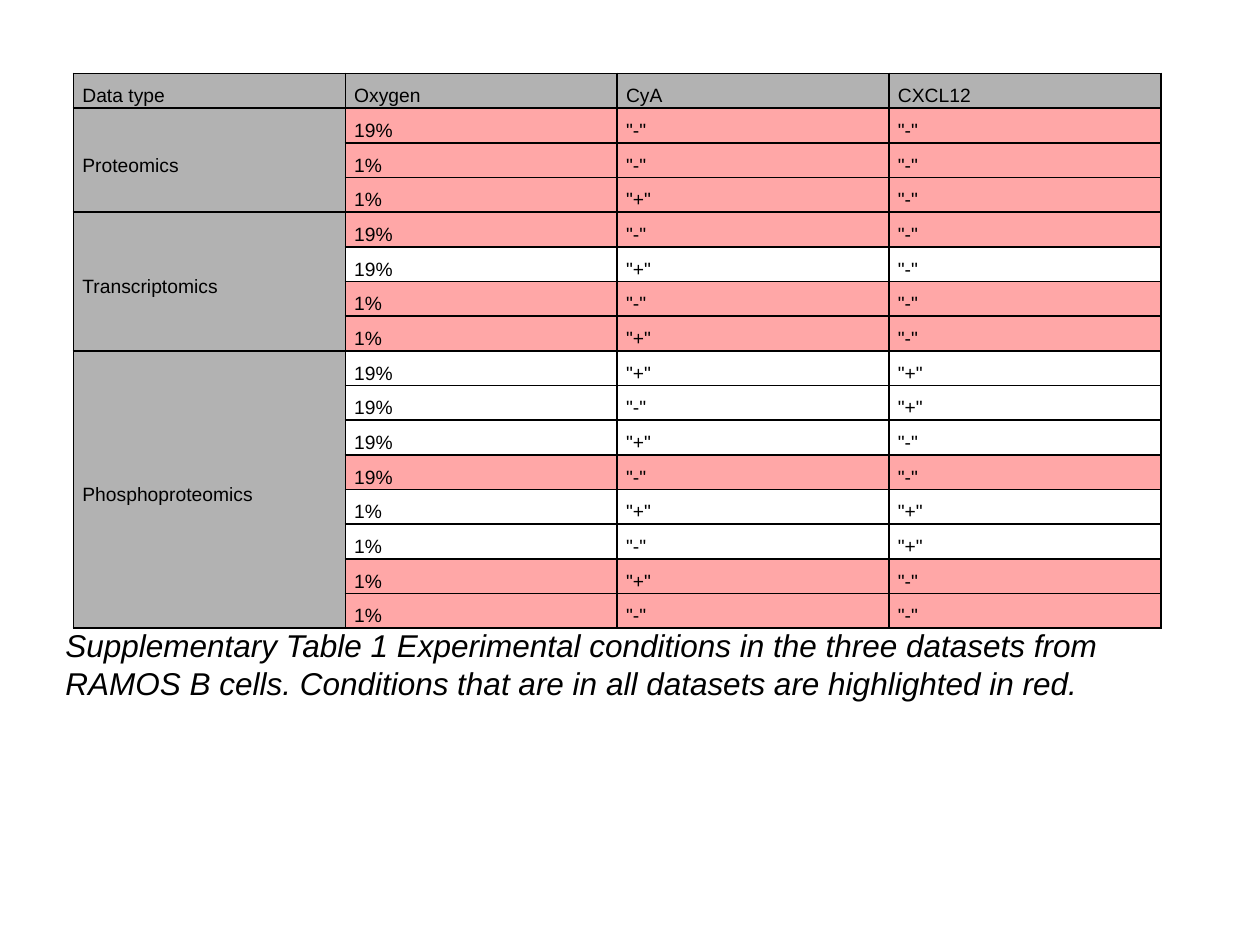
"""Build the slide with the table of experimental conditions."""
from functools import reduce

from lxml.etree import SubElement
from pptx import Presentation
from pptx.dml.color import RGBColor
from pptx.enum.text import MSO_ANCHOR, MSO_AUTO_SIZE
from pptx.oxml.ns import qn
from pptx.util import Cm, Pt

HEADS = ["Data type", "Oxygen", "CyA", "CXCL12"]
SETS = {
    "Proteomics": [("19%", "-", "-"), ("1%", "-", "-"), ("1%", "+", "-")],
    "Transcriptomics": [("19%", "-", "-"), ("19%", "+", "-"),
                        ("1%", "-", "-"), ("1%", "+", "-")],
    "Phosphoproteomics": [("19%", "+", "+"), ("19%", "-", "+"),
                          ("19%", "+", "-"), ("19%", "-", "-"),
                          ("1%", "+", "+"), ("1%", "-", "+"),
                          ("1%", "+", "-"), ("1%", "-", "-")],
}
NOTE = ("Supplementary Table 1 Experimental conditions in the three datasets "
        "from RAMOS B cells. Conditions that are in all datasets are "
        "highlighted in red.")
GREY, RED, BLACK = "B2B2B2", "FFA7A7", "000000"
WIDE, HIGH = 5.48, 0.7
CELL = {"margin_left": Cm(0.18), "margin_right": Cm(0.18), "margin_top": 0,
        "margin_bottom": 0, "vertical_anchor": MSO_ANCHOR.MIDDLE}
CELL_PARA = {"line_spacing": 1.5, "space_after": Pt(8)}
CELL_FONT = {"name": "Arial", "size": Pt(11), "bold": False}
NOTE_PARA = {"space_after": Pt(10)}
NOTE_FONT = {"name": "Arial", "size": Pt(18), "italic": True}


def tint(code):
    return RGBColor.from_string(code)


def apply(item, form):
    for key, value in form.items():
        setattr(item, key, value)


def write(frame, text, para, font):
    first = frame.paragraphs[0]
    run = first.add_run()
    run.text = text
    apply(first, para)
    apply(run.font, font)
    run.font.color.rgb = tint(BLACK)


def style(cell, fill):
    apply(cell, CELL)
    props = cell._tc.get_or_add_tcPr()
    for side in ("lnL", "lnR", "lnT", "lnB"):
        line = SubElement(props, qn(f"a:{side}"), w=str(Pt(1)))
        solid = SubElement(line, qn("a:solidFill"))
        SubElement(solid, qn("a:srgbClr"), val=BLACK)
    if fill:
        cell.fill.solid()
        cell.fill.fore_color.rgb = tint(fill)
    else:
        cell.fill.background()


def put(cell, text, fill):
    style(cell, fill)
    write(cell.text_frame, text, CELL_PARA, CELL_FONT)


def fill_grid(grid):
    for col, head in enumerate(HEADS):
        put(grid.cell(0, col), head, GREY)
    common = reduce(set.intersection, map(set, SETS.values()))
    top = 1
    for name, rows in SETS.items():
        put(grid.cell(top, 0), name, GREY)
        for row, (gas, *signs) in enumerate(rows, top):
            if row > top:
                style(grid.cell(row, 0), GREY)
            shade = RED if (gas, *signs) in common else None
            texts = [gas] + [f'"{sign}"' for sign in signs]
            for col, text in enumerate(texts, 1):
                put(grid.cell(row, col), text, shade)
        end = top + len(rows)
        grid.cell(top, 0).merge(grid.cell(end - 1, 0))
        top = end


def main():
    deck = Presentation()
    apply(deck, {"slide_width": Cm(25.4), "slide_height": Cm(19.05)})
    shapes = deck.slides.add_slide(deck.slide_layouts[6]).shapes

    count = 1 + sum(map(len, SETS.values()))
    grid = shapes.add_table(count, len(HEADS), Cm(1.48), Cm(1.48),
                            Cm(WIDE * len(HEADS)), Cm(HIGH * count)).table
    apply(grid, {"first_row": False, "horz_banding": False})
    for col in grid.columns:
        col.width = Cm(WIDE)
    for row in grid.rows:
        row.height = Cm(HIGH)
    fill_grid(grid)

    frame = shapes.add_textbox(Cm(1.07), Cm(12.5), Cm(22.33), Cm(1.8)).text_frame
    apply(frame, {"word_wrap": True,
                  "auto_size": MSO_AUTO_SIZE.SHAPE_TO_FIT_TEXT})
    write(frame, NOTE, NOTE_PARA, NOTE_FONT)
    deck.save("out.pptx")


if __name__ == "__main__":
    main()
